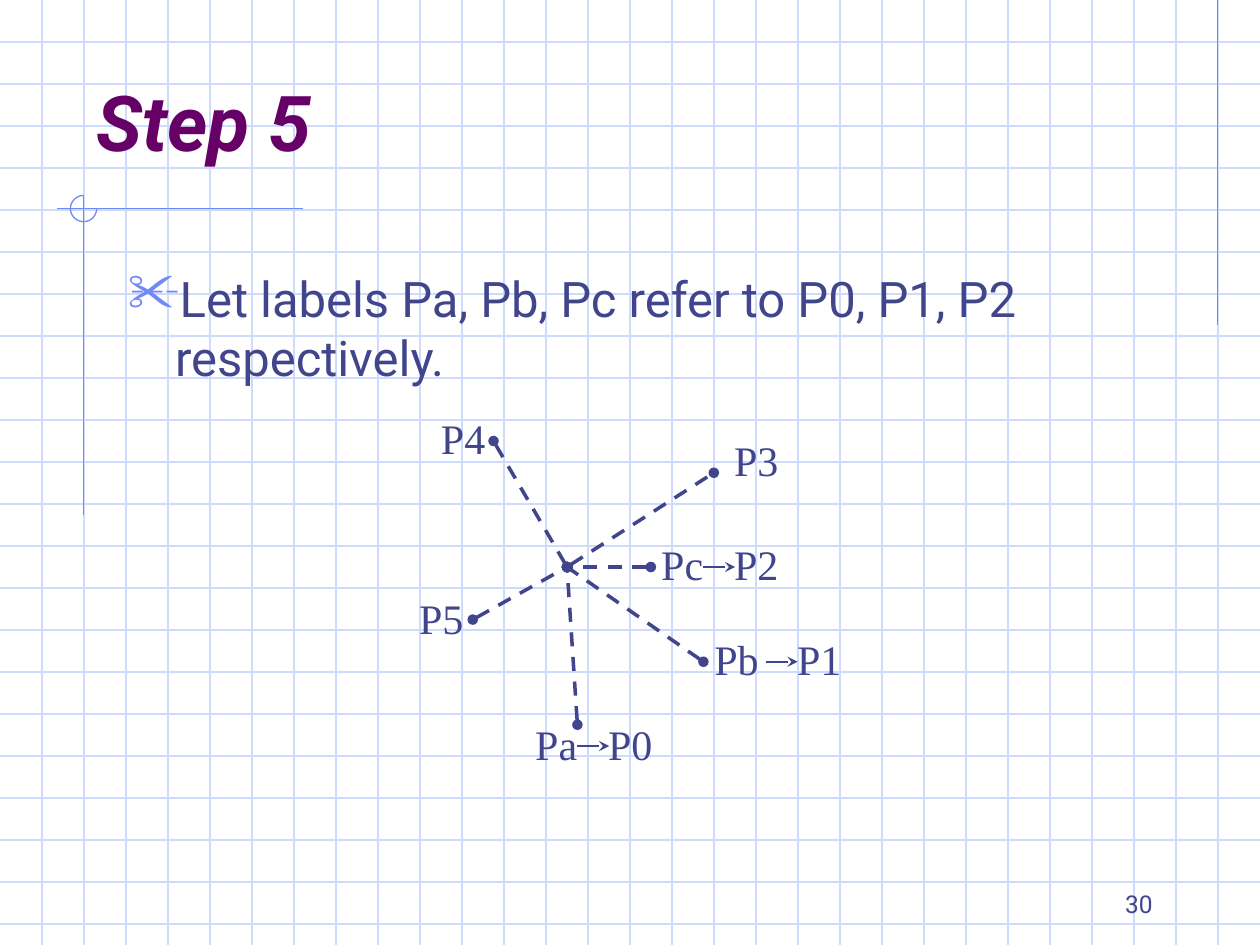
"""Build the "Step 5" slide with its labelled star of points on a grid."""
from lxml.etree import SubElement
from pptx import Presentation
from pptx.dml.color import RGBColor
from pptx.enum.dml import MSO_LINE
from pptx.enum.shapes import MSO_CONNECTOR, MSO_SHAPE
from pptx.enum.text import MSO_ANCHOR, PP_ALIGN
from pptx.oxml.ns import qn
from pptx.util import Cm, Pt

PALE = RGBColor(0xCF, 0xDB, 0xFD)
BLUE = RGBColor(0x6F, 0x89, 0xF7)
INK = RGBColor(0x40, 0x45, 0x8C)
PLUM = RGBColor(0x66, 0x00, 0x66)

WIDE, HIGH = 25.4, 19.05
CELL = WIDE / 30
SANS, SERIF = "Roboto", "Times New Roman"

TITLE = "Step 5"
BODY = "Let labels Pa, Pb, Pc refer to P0, P1, P2 respectively."
PAGE = "30"

RULES = [
    ((24.55, 0), (24.55, 6.56)),
    ((6.1, 4.2), (1.15, 4.2)),
    ((1.69, 3.94), (1.69, 10.39)),
]
HUB = (11.43, 11.43)
SPOKES = [
    (HUB, (14.39, 9.53)),
    ((9.95, 8.89), HUB),
    ((13.12, 11.43), HUB),
    ((9.53, 12.49), HUB),
    ((14.18, 13.34), HUB),
    ((11.64, 14.61), HUB),
]
LABELS = [
    ("P0", 12.01, 14.35), ("P1", 15.82, 12.65), ("P2", 14.55, 10.74),
    ("P3", 14.55, 8.64), ("P4", 8.64, 8.2), ("P5", 8.2, 11.81),
    ("Pa", 10.54, 14.35), ("Pb", 14.15, 12.65), ("Pc", 13.08, 10.74),
]
ARROWS = [(11.64, 15.04), (15.44, 13.34), (14.18, 11.43)]
REACH = 0.64


def add_line(slide, start, end, color, width=0.75, dash=None, head=None, tail=None):
    line = slide.shapes.add_connector(
        MSO_CONNECTOR.STRAIGHT, *(Cm(v) for v in (*start, *end)))
    line.line.color.rgb = color
    line.line.width = Pt(width)
    if dash:
        line.line.dash_style = dash
    props = line.line._get_or_add_ln()
    for tag, kind in (("a:headEnd", head), ("a:tailEnd", tail)):
        if kind:
            SubElement(props, qn(tag), type=kind)
    SubElement(line._element.spPr, qn("a:effectLst"))


def add_text(slide, text, area, size, font=SANS, color=INK, wrap=True,
             anchor=MSO_ANCHOR.TOP, align=PP_ALIGN.LEFT):
    frame = slide.shapes.add_textbox(*(Cm(v) for v in area)).text_frame
    frame.word_wrap = wrap
    frame.vertical_anchor = anchor
    frame.text = text
    para = frame.paragraphs[0]
    para.alignment = align
    face = para.runs[0].font
    face.name, face.size, face.color.rgb = font, Pt(size), color
    return para


def add_bullet(para, mark, color, scale, indent):
    props = para._p.get_or_add_pPr()
    props.set("marL", str(indent))
    props.set("indent", str(-indent))
    SubElement(SubElement(props, qn("a:buClr")), qn("a:srgbClr"), val=str(color))
    SubElement(props, qn("a:buSzPct"), val=str(scale * 1000))
    SubElement(props, qn("a:buChar"), char=mark)


def add_grid(slide):
    for row in range(1, 23):
        add_line(slide, (0, row * CELL), (WIDE, row * CELL), PALE)
    for col in range(1, 30):
        add_line(slide, (col * CELL, 0), (col * CELL, HIGH), PALE)
    for start, end in RULES:
        add_line(slide, start, end, BLUE)
    arc = slide.shapes.add_shape(
        MSO_SHAPE.ARC, Cm(1.42), Cm(3.94), Cm(0.53), Cm(0.53))
    arc.adjustments[0], arc.adjustments[1] = 0, 162
    arc.shadow.inherit = False
    arc.fill.background()
    arc.line.color.rgb = BLUE
    arc.line.width = Pt(0.75)


def add_star(slide):
    for start, end in SPOKES:
        add_line(slide, start, end, INK, 2, MSO_LINE.DASH, "oval", "oval")
    for name, left, top in LABELS:
        add_text(slide, name, (left, top, 1.4, 1.27), 24, SERIF, wrap=False)
    for left, top in ARROWS:
        add_line(slide, (left, top), (left + REACH, top), INK, 1, tail="stealth")


def main():
    deck = Presentation()
    deck.slide_width, deck.slide_height = Cm(WIDE), Cm(HIGH)
    slide = deck.slides.add_slide(deck.slide_layouts[6])
    add_grid(slide)
    add_text(slide, PAGE, (18.2, 17.36, 5.29, 1.27), 14,
             anchor=MSO_ANCHOR.BOTTOM, align=PP_ALIGN.RIGHT)
    title = add_text(slide, TITLE, (1.69, 0.85, 21.59, 3.18), 44,
                     color=PLUM, anchor=MSO_ANCHOR.MIDDLE)
    title.runs[0].font.bold = title.runs[0].font.italic = True
    body = add_text(slide, BODY, (2.33, 5.29, 21.59, 11.43), 28)
    add_bullet(body, "✂", BLUE, 110, Cm(0.95))
    add_star(slide)
    deck.save("out.pptx")


if __name__ == "__main__":
    main()
